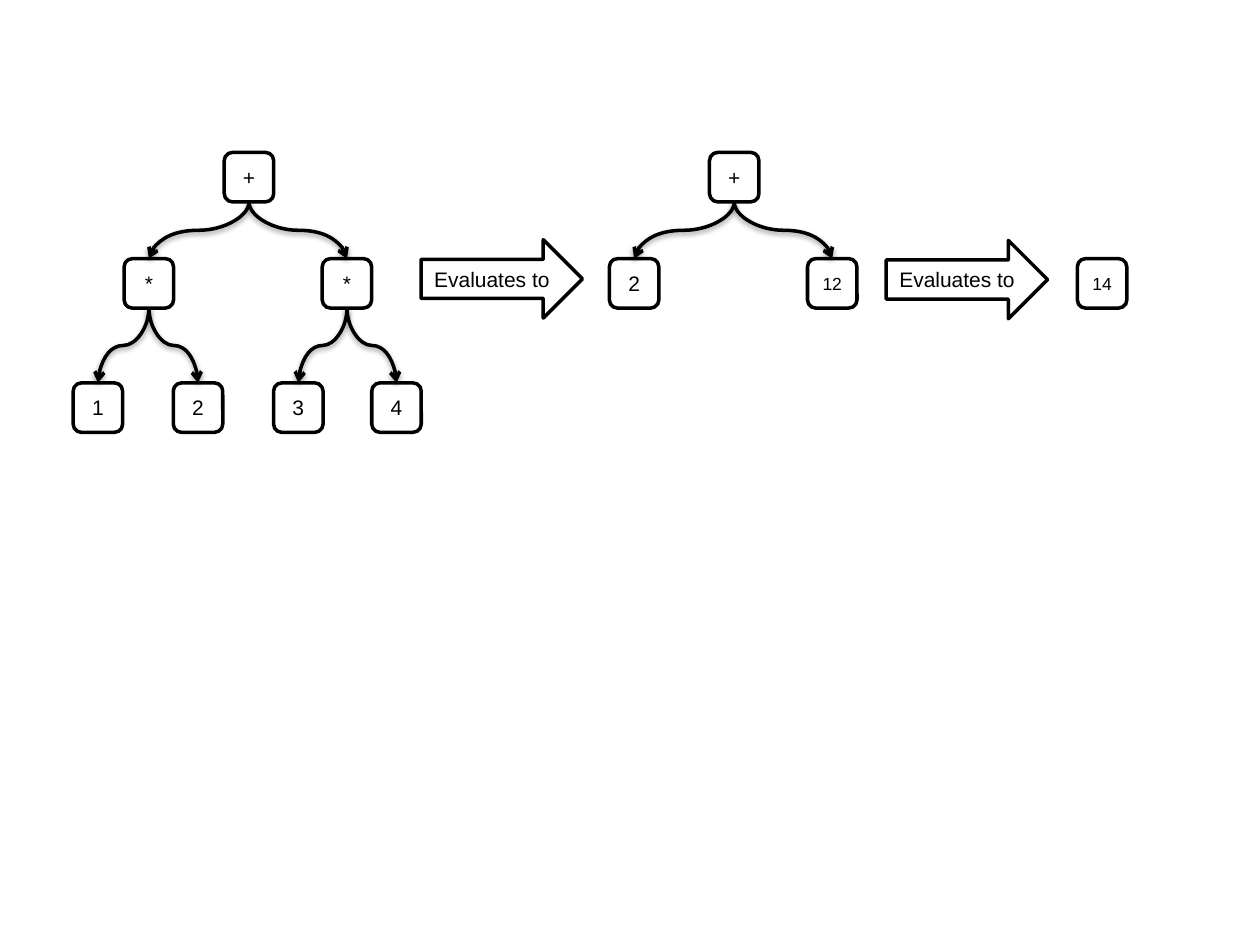
"""Build a slide that shows an expression tree being evaluated step by step."""
from dataclasses import dataclass

from lxml.etree import SubElement
from pptx import Presentation
from pptx.dml.color import RGBColor
from pptx.enum.shapes import MSO_CONNECTOR as Link, MSO_SHAPE as Preset
from pptx.enum.text import MSO_ANCHOR as Anchor, PP_ALIGN as Align
from pptx.oxml import parse_xml
from pptx.oxml.ns import nsdecls, qn
from pptx.shapes.autoshape import Shape
from pptx.slide import Slide
from pptx.util import Pt

COLORS = {"ink": "000000", "paper": "FFFFFF"}
FONT = {"name": "Arial", "size": Pt(12)}
FRAME = {"word_wrap": False, "vertical_anchor": Anchor.MIDDLE}
NODE_SIZE = 28.3
ROW_TOPS = (87.1, 147.8, 218.8)
LINE_WIDTH = 2
ARROW_WIDTH, ARROW_HEIGHT = 92.2, 44.8
BOTTOM_SITE, TOP_SITE = 2, 0


@dataclass(frozen=True)
class Node:
    label: str
    center: float
    row: int
    children: tuple["Node", ...] = ()
    size: float = 12


@dataclass(frozen=True)
class Step:
    left: float
    top: float
    label: str = "Evaluates to"


EXPRESSIONS = (
    Node("+", 142.3, 0, (
        Node("*", 85.1, 1, (Node("1", 56, 2), Node("2", 113.2, 2))),
        Node("*", 198.3, 1, (Node("3", 170.5, 2), Node("4", 226.6, 2))),
    )),
    Node("+", 419.6, 0, (Node("2", 362.4, 1), Node("12", 475.6, 1, size=10))),
    Node("14", 629.8, 1, size=10),
)
STEPS = (Step(240.6, 137), Step(506.4, 137.4))


def color(name: str) -> RGBColor:
    return RGBColor.from_string(COLORS[name])


def apply(target: object, values: dict) -> None:
    for key, value in values.items():
        setattr(target, key, value)


def draw_box(slide: Slide, preset: Preset, bounds: tuple[float, ...],
             label: str, size: float = 12) -> Shape:
    box = slide.shapes.add_shape(preset, *map(Pt, bounds))
    box.shadow.inherit = False
    box.fill.solid()
    box.fill.fore_color.rgb = color("paper")
    box.line.color.rgb = color("ink")
    box.line.width = Pt(LINE_WIDTH)
    apply(box.text_frame, FRAME)
    paragraph = box.text_frame.paragraphs[0]
    paragraph.alignment = Align.CENTER
    run = paragraph.add_run()
    run.text = label
    apply(run.font, {**FONT, "size": Pt(size)})
    run.font.color.rgb = color("ink")
    return box


def draw_branch(slide: Slide, parent: Shape, child: Shape) -> None:
    branch = slide.shapes.add_connector(Link.CURVE, 0, 0, 0, 0)
    branch.begin_connect(parent, BOTTOM_SITE)
    branch.end_connect(child, TOP_SITE)
    start_x, end_x = branch.begin_x, branch.end_x
    start_y, end_y = branch.begin_y, branch.end_y
    drop, spread = end_y - start_y, abs(end_x - start_x)
    apply(branch, {
        "left": (start_x + end_x - drop) // 2,
        "top": (start_y + end_y - spread) // 2,
        "width": drop,
        "height": spread,
    })
    goes_right = end_x > start_x
    properties = branch._element.spPr
    turn = {"rot": "16200000" if goes_right else "5400000",
            "flipH": "1" if goes_right else "0", "flipV": "0"}
    for key, value in turn.items():
        properties.find(qn("a:xfrm")).set(key, value)
    branch.line.color.rgb = color("ink")
    branch.line.width = Pt(LINE_WIDTH)
    SubElement(properties.find(qn("a:ln")), qn("a:tailEnd"), type="arrow")
    properties.append(parse_xml(
        f'<a:effectLst {nsdecls("a")}>'
        f'<a:outerShdw blurRad="{Pt(3.15)}" dist="{Pt(1.57)}" dir="5400000" rotWithShape="0">'
        f'<a:srgbClr val="{COLORS["ink"]}"><a:alpha val="38000"/></a:srgbClr>'
        '</a:outerShdw></a:effectLst>'))


def draw_tree(slide: Slide, node: Node) -> Shape:
    bounds = (node.center - NODE_SIZE / 2, ROW_TOPS[node.row], NODE_SIZE, NODE_SIZE)
    box = draw_box(slide, Preset.ROUNDED_RECTANGLE, bounds, node.label, node.size)
    for child in node.children:
        draw_branch(slide, box, draw_tree(slide, child))
    return box


def main() -> None:
    deck = Presentation()
    apply(deck, {"slide_width": Pt(720), "slide_height": Pt(540)})
    slide = deck.slides.add_slide(deck.slide_layouts[6])
    for expression in EXPRESSIONS:
        draw_tree(slide, expression)
    for step in STEPS:
        bounds = (step.left, step.top, ARROW_WIDTH, ARROW_HEIGHT)
        draw_box(slide, Preset.RIGHT_ARROW, bounds, step.label)
    deck.save("out.pptx")


main()
